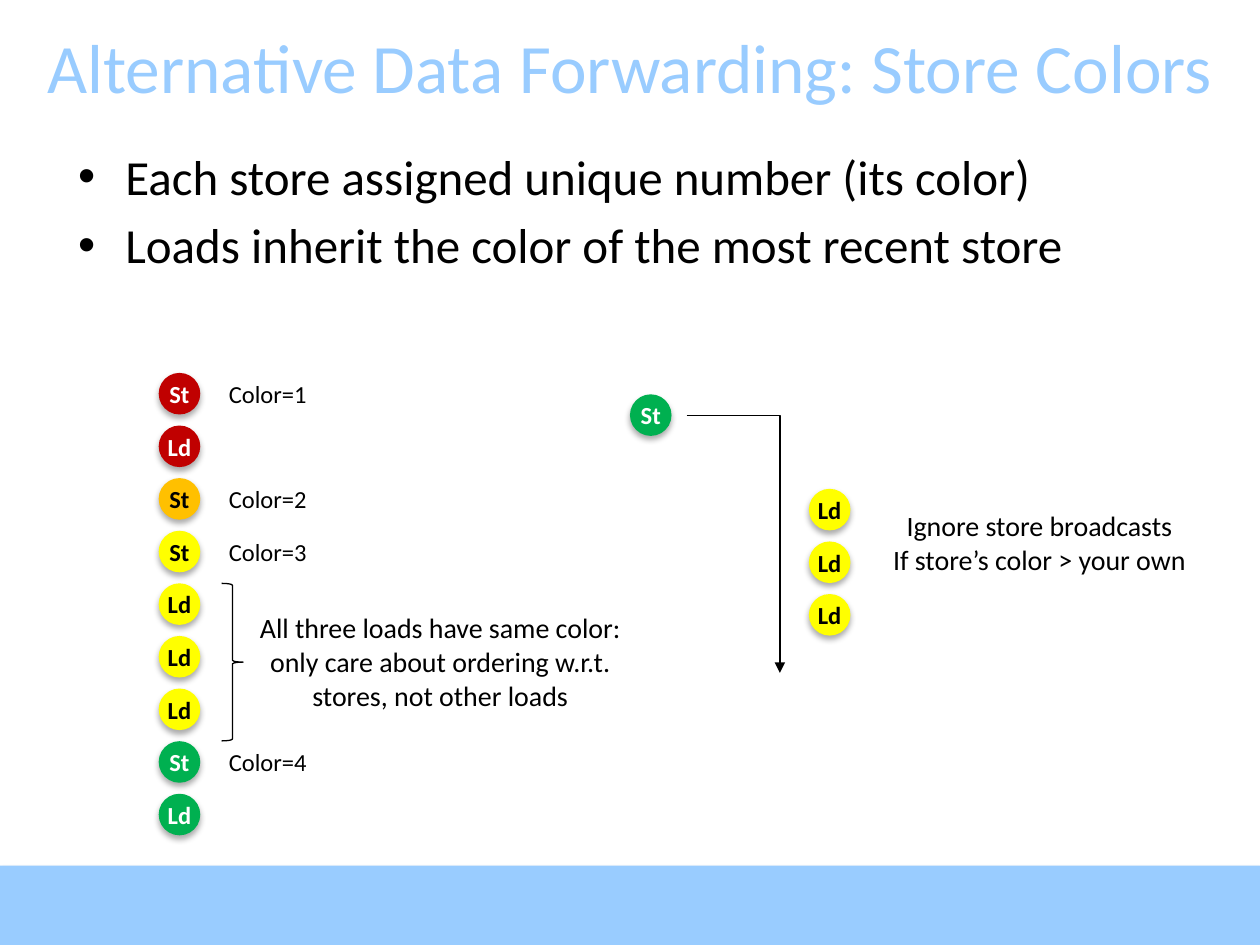
"""Builds the slide on forwarding data by store colors."""
from dataclasses import dataclass

from lxml.etree import SubElement
from pptx import Presentation
from pptx.dml.color import RGBColor as Rgb
from pptx.enum.shapes import MSO_SHAPE as Preset
from pptx.enum.text import MSO_ANCHOR as Anchor, MSO_AUTO_SIZE as AutoSize, PP_ALIGN as Align
from pptx.oxml.ns import qn
from pptx.util import Inches, Pt


@dataclass(frozen=True)
class Theme:
    font: str = "Calibri"
    accent: Rgb = Rgb(0x99, 0xCC, 0xFF)
    black: Rgb = Rgb(0, 0, 0)
    white: Rgb = Rgb(255, 255, 255)
    red: Rgb = Rgb(0xC0, 0, 0)
    orange: Rgb = Rgb(0xFF, 0xC0, 0)
    yellow: Rgb = Rgb(0xFF, 0xFF, 0)
    green: Rgb = Rgb(0, 0xB0, 0x50)
    title: float = 39.6
    body: float = 28
    note: float = 16
    label: float = 14
    hairline: float = 0.75


theme = Theme()


def write(frame, lines, size, color=theme.black, align=Align.CENTER, bold=False):
    for i, line in enumerate(lines):
        paragraph = frame.add_paragraph() if i else frame.paragraphs[0]
        paragraph.alignment = align
        run = paragraph.add_run()
        run.text = line
        run.font.name, run.font.size, run.font.bold = theme.font, Pt(size), bold
        run.font.color.rgb = color


def fill_with_shadow(shape, color, opacity, blur, distance):
    shape.fill.solid()
    shape.fill.fore_color.rgb = color
    shape.line.fill.background()
    shape.shadow.inherit = False
    effects = shape.element.spPr.find(qn("a:effectLst"))
    shadow = SubElement(effects, qn("a:outerShdw"), blurRad=str(Pt(blur)),
                        dist=str(Pt(distance)), dir="5400000", rotWithShape="0")
    shade = SubElement(shadow, qn("a:srgbClr"), val=str(theme.black))
    SubElement(shade, qn("a:alpha"), val=str(opacity * 1000))


deck = Presentation()
deck.slide_width, deck.slide_height = Inches(10), Inches(7.5)
slide = deck.slides.add_slide(deck.slide_layouts[1])
shapes = slide.shapes

title, points = slide.placeholders
title.left, title.top, title.width, title.height = 0, Inches(0.21), Inches(10), Inches(0.63)
title.text_frame.auto_size = AutoSize.NONE
title.text_frame.vertical_anchor = Anchor.MIDDLE
write(title.text_frame, ["Alternative Data Forwarding: Store Colors"], theme.title, theme.accent)

points.left, points.top = Inches(0.52), Inches(1.11)
points.width, points.height = Inches(9), Inches(5.56)
points.text_frame.auto_size = AutoSize.NONE
write(points.text_frame, ["Each store assigned unique number (its color)",
                          "Loads inherit the color of the most recent store"],
      theme.body, align=Align.LEFT)

footer_band = shapes.add_shape(Preset.RECTANGLE, 0, Inches(6.87), Inches(10), Inches(0.63))
fill_with_shadow(footer_band, theme.accent, 35, 3.1, 1.8)

pitch = 3.34 / 8
program = [("St", theme.red), ("Ld", theme.red), ("St", theme.orange), ("St", theme.yellow),
           ("Ld", theme.yellow), ("Ld", theme.yellow), ("Ld", theme.yellow),
           ("St", theme.green), ("Ld", theme.green)]
operations = [(1.26, 2.96 + row * pitch, *operation) for row, operation in enumerate(program)]
operations.append((5, 3.13, "St", theme.green))
operations += [(6.42, 3.88 + row * pitch, "Ld", theme.yellow) for row in range(3)]

for left, top, kind, color in operations:
    operation = shapes.add_shape(Preset.OVAL, Inches(left), Inches(top), Inches(0.33), Inches(0.33))
    fill_with_shadow(operation, color, 32, 3.5, 2.2)
    frame = operation.text_frame
    frame.margin_left = frame.margin_right = 0
    frame.vertical_anchor = Anchor.MIDDLE
    ink = theme.white if color in (theme.red, theme.green) else theme.black
    write(frame, [kind], theme.label, ink, bold=True)

store_rows = [row for row, (kind, _) in enumerate(program) if kind == "St"]
captions = [(1.68, 2.96 + row * pitch, 0.89, 0.34, [f"Color={number}"], theme.label)
            for number, row in enumerate(store_rows, 1)]
captions += [
    (1.93, 4.8, 3.13, 0.91, ["All three loads have same color:",
                             "only care about ordering w.r.t.",
                             "stores, not other loads"], theme.note),
    (6.92, 3.99, 2.66, 0.64, ["Ignore store broadcasts",
                              "If store’s color > your own"], theme.note),
]
for left, top, width, height, lines, size in captions:
    caption = shapes.add_textbox(Inches(left), Inches(top), Inches(width), Inches(height))
    caption.text_frame.word_wrap = False
    caption.text_frame.auto_size = AutoSize.SHAPE_TO_FIT_TEXT
    write(caption.text_frame, lines, size)

loads_brace = shapes.add_shape(Preset.RIGHT_BRACE, Inches(1.76), Inches(4.63),
                               Inches(0.17), Inches(1.25))
route = shapes.build_freeform(Inches(5.45), Inches(3.3))
route.add_line_segments([(Inches(6.19), Inches(3.3)), (Inches(6.19), Inches(5.34))], close=False)
broadcast = route.convert_to_shape()
for outline in (loads_brace, broadcast):
    outline.fill.background()
    outline.line.color.rgb = theme.black
    outline.line.width = Pt(theme.hairline)
    outline.shadow.inherit = False
SubElement(broadcast.element.spPr.find(qn("a:ln")), qn("a:tailEnd"), type="triangle")

deck.save("out.pptx")
